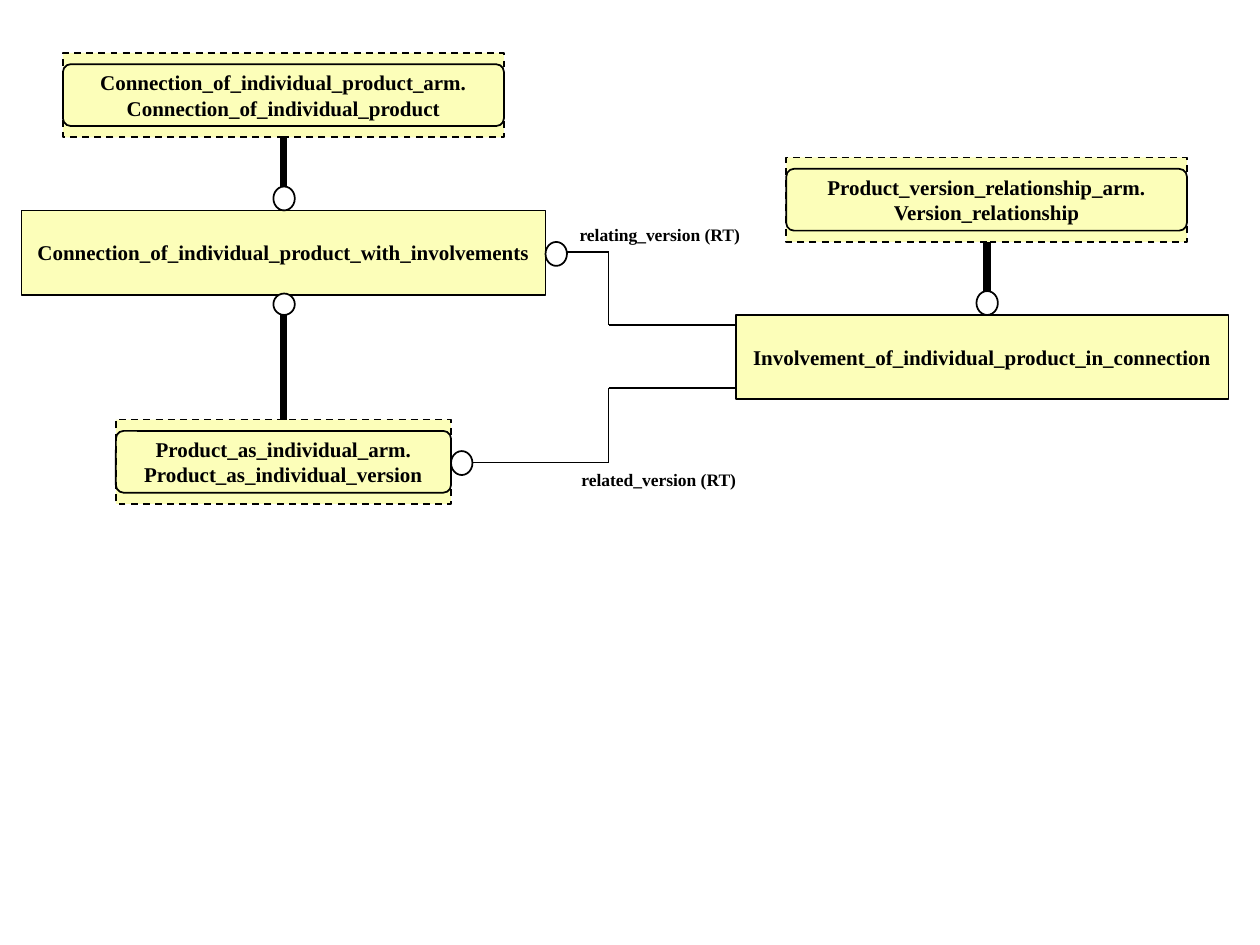
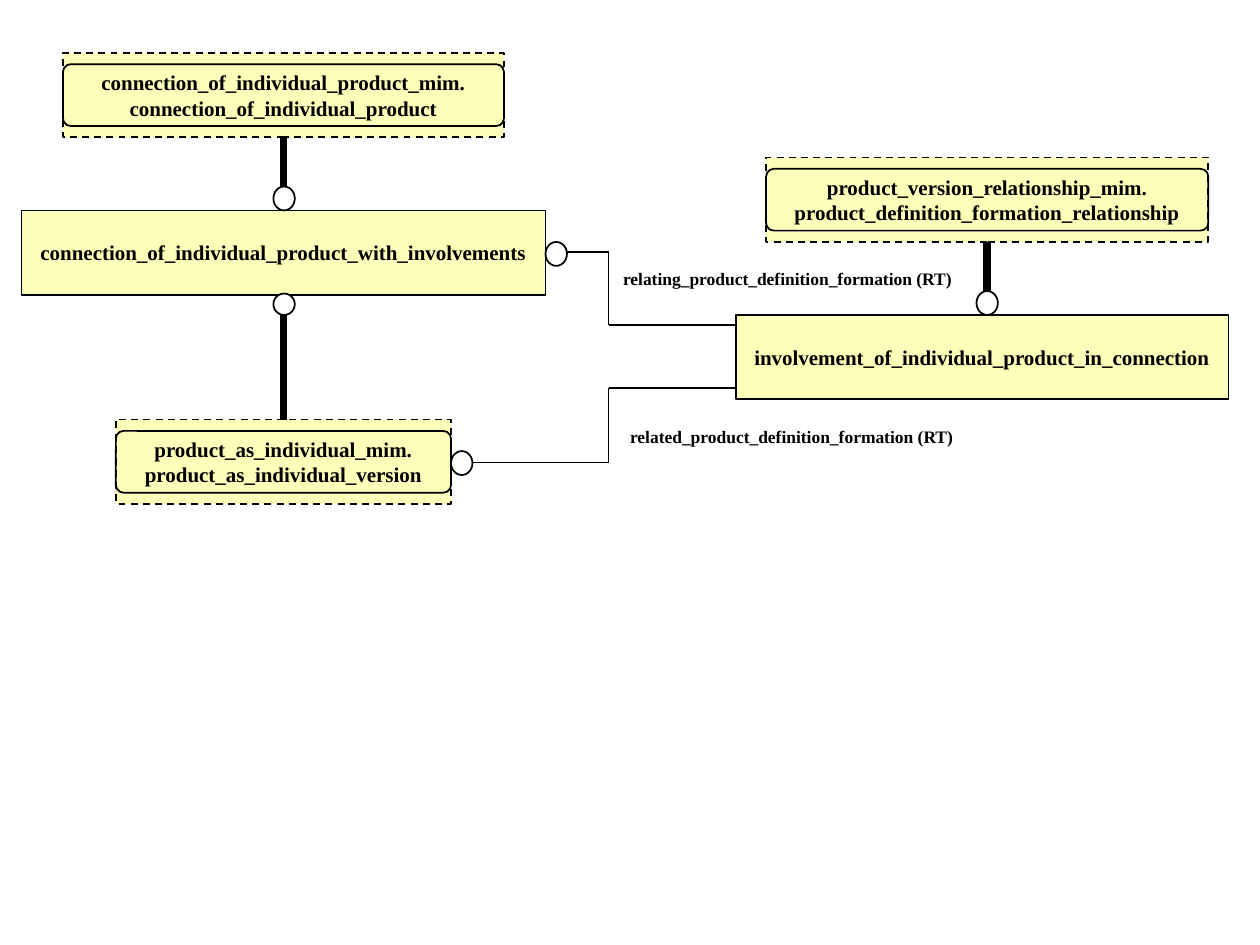
from lxml import etree
from pptx import Presentation
from pptx.dml.color import RGBColor
from pptx.enum import dml, shapes, text
from pptx.oxml import ns
from pptx.util import Inches, Pt


def colour(value):
    return RGBColor.from_string(value)


class Diagram:
    FONT = "Times New Roman"
    INK = "000000"
    ENTITY = "FCFEB9"
    MARKER = "FFFFFF"
    THIN = 1
    THICK = 4.5
    ENTITY_HEIGHT = 0.67
    INNER_HEIGHT = 0.49
    LABEL_HEIGHT = 0.27
    MARKER_WIDTH = 0.17

    def __init__(self, deck):
        self.deck = deck
        self.slide = None

    def new_slide(self):
        self.slide = self.deck.slides.add_slide(self.deck.slide_layouts[6])

    def outline(self, line, weight):
        line.color.rgb = colour(self.INK)
        line.width = Pt(weight)

    def add_lines(self, frame, lines, size, align):
        for index, words in enumerate(lines):
            paragraph = frame.paragraphs[0] if index == 0 else frame.add_paragraph()
            paragraph.alignment = align
            run = paragraph.add_run()
            run.text = words
            run.font.name = self.FONT
            run.font.size = Pt(size)
            run.font.bold = True
            run.font.color.rgb = colour(self.INK)

    def figure(self, parent, kind, left, top, width, height, fill=None):
        figure = parent.shapes.add_shape(
            kind, Inches(left), Inches(top), Inches(width), Inches(height))
        figure.shadow.inherit = False
        if fill:
            figure.fill.solid()
            figure.fill.fore_color.rgb = colour(fill)
        else:
            figure.fill.background()
        self.outline(figure.line, self.THIN)
        return figure

    def entity(self, left, top, width, lines, parent=None):
        box = self.figure(parent or self.slide, shapes.MSO_SHAPE.RECTANGLE,
                          left, top, width, self.ENTITY_HEIGHT, self.ENTITY)
        frame = box.text_frame
        frame.word_wrap = False
        frame.vertical_anchor = text.MSO_ANCHOR.MIDDLE
        self.add_lines(frame, lines, 12, text.PP_ALIGN.CENTER)
        return box

    def external_entity(self, left, top, width, lines):
        group = self.slide.shapes.add_group_shape()
        border = self.entity(left, top, width, lines, group)
        border.line.dash_style = dml.MSO_LINE.DASH
        inset = (self.ENTITY_HEIGHT - self.INNER_HEIGHT) / 2
        inner = self.figure(group, shapes.MSO_SHAPE.ROUNDED_RECTANGLE,
                            left, top + inset, width, self.INNER_HEIGHT)
        inner.adjustments[0] = 0.125

    def marker(self, left, top, height=0.19):
        self.figure(self.slide, shapes.MSO_SHAPE.OVAL,
                    left, top, self.MARKER_WIDTH, height, self.MARKER)

    def route(self, points, weight=THIN):
        for start, end in zip(points, points[1:]):
            line = self.slide.shapes.add_connector(
                shapes.MSO_CONNECTOR.STRAIGHT, *map(Inches, start + end))
            self.outline(line.line, weight)
            properties = line._element.spPr
            etree.SubElement(properties, ns.qn("a:effectLst"))

    def label(self, left, top, width, words, wrap):
        box = self.slide.shapes.add_textbox(
            Inches(left), Inches(top), Inches(width), Inches(self.LABEL_HEIGHT))
        frame = box.text_frame
        frame.word_wrap = wrap
        frame.auto_size = text.MSO_AUTO_SIZE.SHAPE_TO_FIT_TEXT
        self.add_lines(frame, [words], 10, text.PP_ALIGN.RIGHT)


def draw_model(diagram, connection, connected, individual, involvement,
               relationship, relationship_span, labels):
    diagram.new_slide()
    for label in labels:
        diagram.label(*label)

    relationship_left, relationship_width = relationship_span
    diagram.external_entity(0.5, 0.42, 3.5, connection)
    diagram.external_entity(0.92, 3.33, 2.66, individual)
    diagram.external_entity(relationship_left, 1.25, relationship_width, relationship)
    diagram.entity(0.17, 1.67, 4.16, [connected])
    diagram.entity(5.84, 2.5, 3.91, [involvement])

    for x, top, bottom in [(2.25, 1.08, 1.5), (2.25, 2.5, 3.33), (7.83, 1.92, 2.33)]:
        diagram.route([(x, top), (x, bottom)], diagram.THICK)
    diagram.route([(4.5, 2), (4.83, 2), (4.83, 2.58), (5.83, 2.58)])
    diagram.route([(3.75, 3.67), (4.83, 3.67), (4.83, 3.08), (5.83, 3.08)])

    for left, top in [(2.17, 1.48), (4.33, 1.92), (3.58, 3.58), (7.75, 2.31)]:
        diagram.marker(left, top)
    diagram.marker(2.17, 2.33, 0.17)


def main():
    deck = Presentation()
    deck.slide_width = Inches(10)
    deck.slide_height = Inches(7.5)
    diagram = Diagram(deck)

    draw_model(
        diagram,
        connection=["Connection_of_individual_product_arm.",
                    "Connection_of_individual_product"],
        connected="Connection_of_individual_product_with_involvements",
        individual=["Product_as_individual_arm.", "Product_as_individual_version"],
        involvement="Involvement_of_individual_product_in_connection",
        relationship=["Product_version_relationship_arm.", "Version_relationship"],
        relationship_span=(6.24, 3.18),
        labels=[(3.5, 1.73, 2.47, "relating_version (RT)", True),
                (4.51, 3.67, 1.43, "related_version (RT)", False)])

    draw_model(
        diagram,
        connection=["connection_of_individual_product_mim.",
                    "connection_of_individual_product"],
        connected="connection_of_individual_product_with_involvements",
        individual=["product_as_individual_mim.", "product_as_individual_version"],
        involvement="involvement_of_individual_product_in_connection",
        relationship=["product_version_relationship_mim.",
                      "product_definition_formation_relationship"],
        relationship_span=(6.08, 3.51),
        labels=[(4.83, 3.33, 2.83, "related_product_definition_formation (RT)", True),
                (4.84, 2.08, 2.81, "relating_product_definition_formation (RT)", False)])

    deck.save("out.pptx")


if __name__ == "__main__":
    main()
